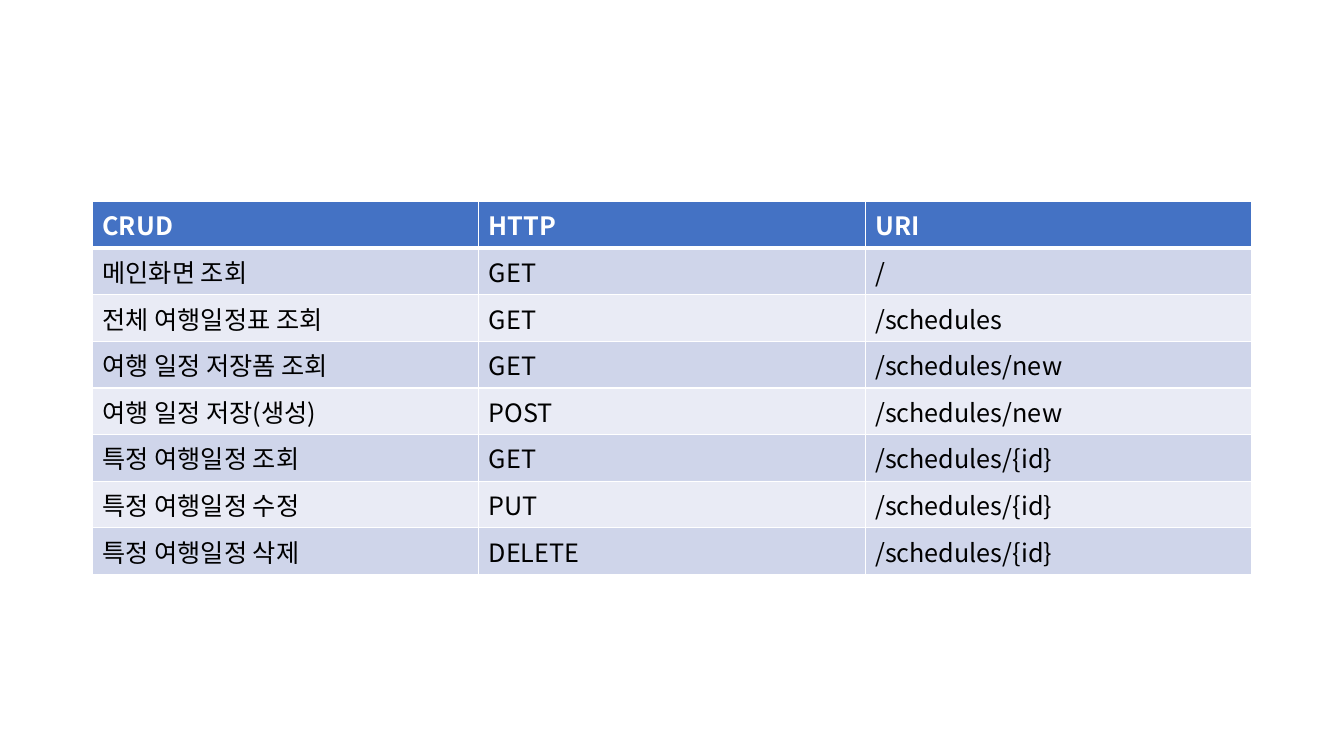
"""Build a slide with a table of travel schedule endpoints."""
from lxml.etree import SubElement
from pptx import Presentation
from pptx.dml.color import RGBColor
from pptx.oxml.ns import qn
from pptx.util import Pt

FONT = "Noto Sans CJK KR"
WHITE = RGBColor(0xFF, 0xFF, 0xFF)
BLACK = RGBColor(0x00, 0x00, 0x00)
HEADER_BLUE = RGBColor(0x44, 0x72, 0xC4)
BAND_DARK = RGBColor(0xCF, 0xD5, 0xEA)
BAND_LIGHT = RGBColor(0xE9, 0xEB, 0xF5)

ENDPOINTS = [
    ("CRUD", "HTTP", "URI"),
    ("메인화면 조회", "GET", "/"),
    ("전체 여행일정표 조회", "GET", "/schedules"),
    ("여행 일정 저장폼 조회", "GET", "/schedules/new"),
    ("여행 일정 저장(생성)", "POST", "/schedules/new"),
    ("특정 여행일정 조회", "GET", "/schedules/{id}"),
    ("특정 여행일정 수정", "PUT", "/schedules/{id}"),
    ("특정 여행일정 삭제", "DELETE", "/schedules/{id}"),
]


def write_text(cell, text, size=18, color=BLACK, bold=False):
    run = cell.text_frame.paragraphs[0].add_run()
    run.text = text
    run.font.size = Pt(size)
    run.font.bold = bold
    run.font.color.rgb = color
    run.font.name = FONT
    SubElement(run.font._element, qn("a:ea"), typeface=FONT)


def add_borders(cell, **widths):
    properties = cell._tc.get_or_add_tcPr()
    for side, width in widths.items():
        line = SubElement(properties, qn(f"a:ln{side}"), w=str(Pt(width)))
        fill = SubElement(line, qn("a:solidFill"))
        SubElement(fill, qn("a:srgbClr"), val=str(WHITE))


presentation = Presentation()
presentation.slide_width = Pt(960)
presentation.slide_height = Pt(540)
slide = presentation.slides.add_slide(presentation.slide_layouts[6])

row_height = 29.2
table = slide.shapes.add_table(
    len(ENDPOINTS), 3, Pt(66), Pt(144), Pt(828), Pt(row_height * len(ENDPOINTS))
).table

for row_index, endpoint in enumerate(ENDPOINTS):
    table.rows[row_index].height = Pt(row_height)
    is_header = row_index == 0
    band = BAND_DARK if row_index % 2 else BAND_LIGHT
    for column_index, text in enumerate(endpoint):
        cell = table.cell(row_index, column_index)
        add_borders(cell, L=1, R=1, T=3 if row_index == 1 else 1, B=3 if is_header else 1)
        cell.fill.solid()
        cell.fill.fore_color.rgb = HEADER_BLUE if is_header else band
        write_text(cell, text, color=WHITE if is_header else BLACK, bold=is_header)

presentation.save("out.pptx")
